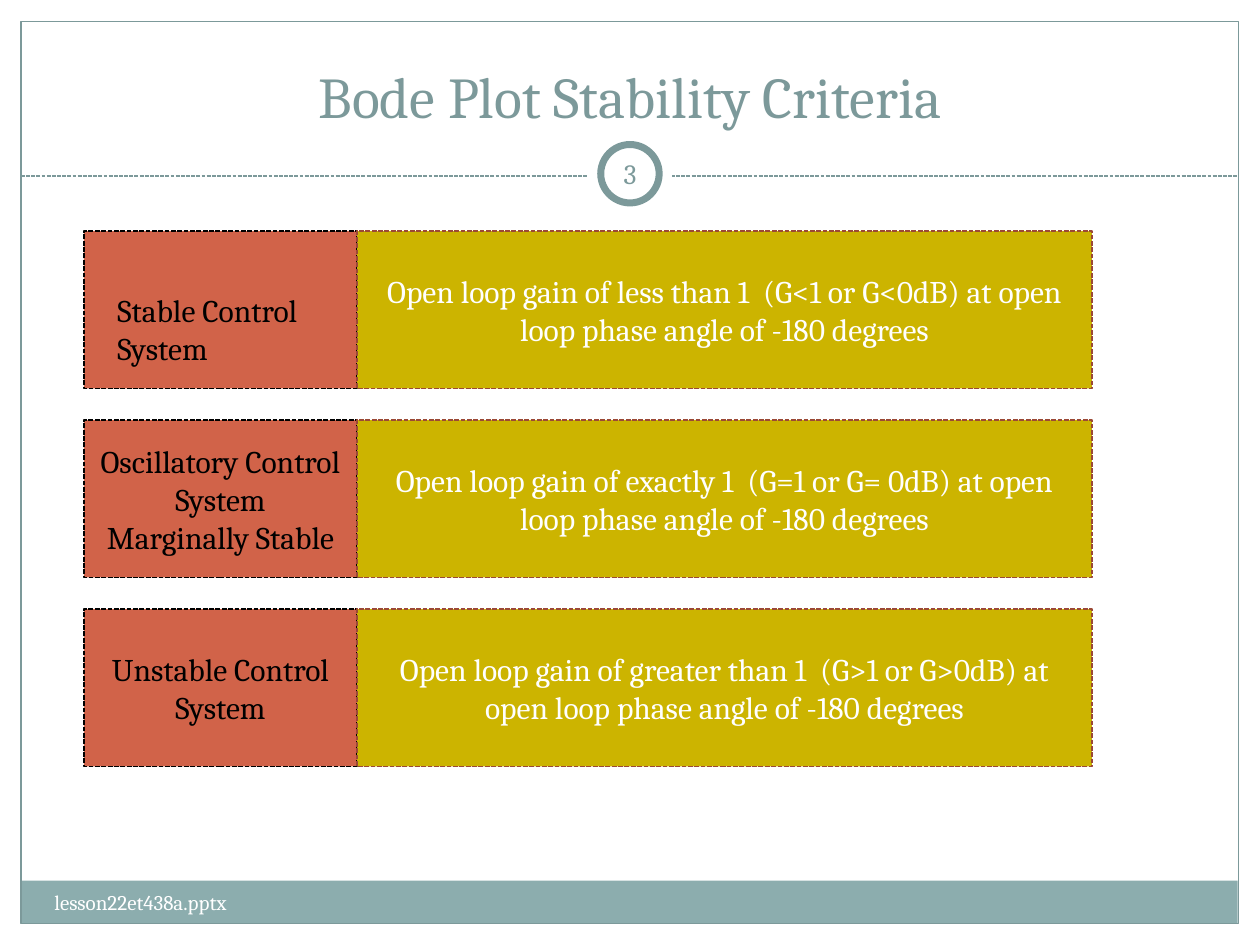
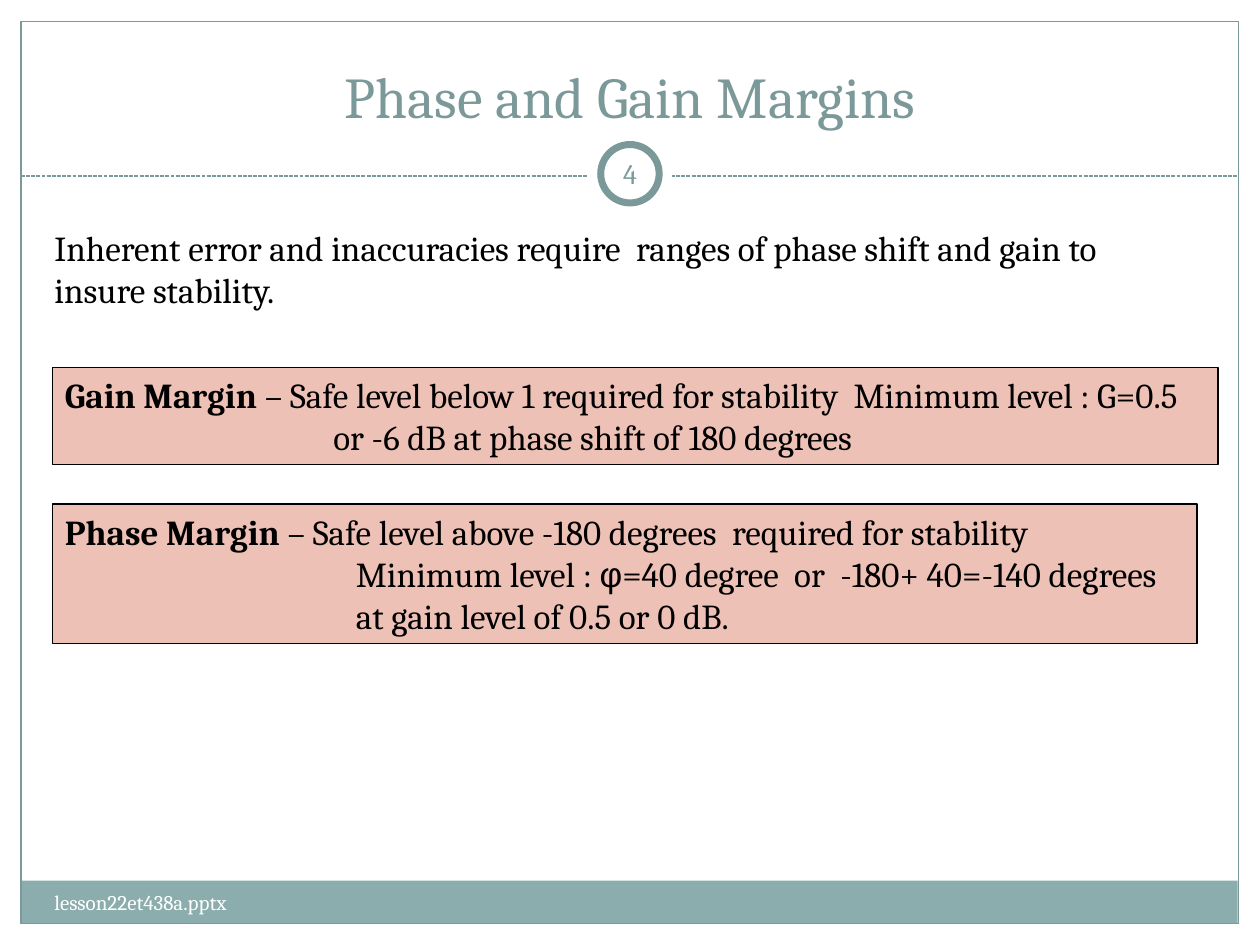
from pptx import Presentation
from pptx.dml.color import RGBColor
from pptx.enum import dml, shapes, text
from pptx.oxml import ns
from pptx.util import Pt
from lxml import etree

HUES = {
    "white": "FFFFFF", "black": "000000", "teal": "7C999A", "band": "8CADAE",
    "red": "D16349", "gold": "CCB400", "rust": "9B4936", "pink": "EDC1B6",
}
FONT = "Cambria"
LEFT, CENTER = text.PP_ALIGN.LEFT, text.PP_ALIGN.CENTER
TOP, MIDDLE, BOTTOM = (text.MSO_ANCHOR.TOP, text.MSO_ANCHOR.MIDDLE,
                       text.MSO_ANCHOR.BOTTOM)
RECT, OVAL = shapes.MSO_SHAPE.RECTANGLE, shapes.MSO_SHAPE.OVAL


def hue(name):
    return RGBColor.from_string(HUES[name])


def edge(line, color, width, dash=False):
    line.color.rgb = hue(color)
    line.width = Pt(width)
    if dash:
        line.dash_style = dml.MSO_LINE.SQUARE_DOT


def write(shape, paras, size, color, align=LEFT, anchor=TOP, hang=0, inset=None):
    """Fill a shape with paragraphs; each is a list of (text, bold, font) runs."""
    frame = shape.text_frame
    frame.word_wrap = True
    frame.vertical_anchor = anchor
    if inset is not None:
        frame.margin_left = frame.margin_right = Pt(inset)
        frame.margin_top = frame.margin_bottom = Pt(inset)
    for i, runs in enumerate(paras):
        para = frame.paragraphs[0] if i == 0 else frame.add_paragraph()
        para.alignment = align
        if hang:
            props = para._p.get_or_add_pPr()
            props.set("marL", str(Pt(hang)))
            props.set("indent", str(-Pt(hang)))
        for words, bold, face in runs:
            if words == "\n":
                para.add_line_break()
                continue
            run = para.add_run()
            run.text = words
            run.font.size = Pt(size)
            run.font.name = face
            run.font.bold = bold
            run.font.color.rgb = hue(color)


def plain(*lines):
    return [[(line, False, FONT)] for line in lines]


def shape(slide, kind, box, fill=None, line=None):
    item = slide.shapes.add_shape(kind, *map(Pt, box))
    item.shadow.inherit = False
    if fill:
        item.fill.solid()
        item.fill.fore_color.rgb = hue(fill)
    else:
        item.fill.background()
    if line:
        edge(item.line, *line)
    else:
        item.line.fill.background()
    return item


def label(slide, box, paras, size, color, **style):
    item = slide.shapes.add_textbox(*map(Pt, box))
    write(item, paras, size, color, **style)


def rule(slide, x1, x2, y):
    item = slide.shapes.add_connector(
        shapes.MSO_CONNECTOR.STRAIGHT, Pt(x1), Pt(y), Pt(x2), Pt(y))
    edge(item.line, "teal", 0.75, True)
    etree.SubElement(item._element.spPr, ns.qn("a:effectLst"))


def base(deck, title, number):
    """Add a slide with the shared frame, footer band, title and number."""
    slide = deck.slides.add_slide(deck.slide_layouts[6])
    shape(slide, RECT, (11.8, 503.2, 695.5, 24.6), "band")
    shape(slide, RECT, (12, 12.2, 695.8, 515.6), line=("teal", 0.75))
    rule(slide, 12, 707.8, 100.6)
    # Number ring
    shape(slide, OVAL, (336, 75.4, 48, 48), "white")
    shape(slide, OVAL, (343.3, 82.6, 33.4, 33.4), "white", ("teal", 4))
    # Texts
    label(slide, (24, 18, 672, 60), plain(title), 33, "teal",
          align=CENTER, anchor=BOTTOM)
    label(slide, (24, 505, 282, 28.8), plain("lesson22et438a.pptx"), 12, "white")
    label(slide, (342, 81.6, 36, 34.6), plain(str(number)), 16, "teal",
          align=CENTER, anchor=MIDDLE, inset=3.6)
    return slide


def criteria(deck):
    slide = base(deck, "Bode Plot Stability Criteria", 3)
    rows = [
        (["Stable Control", "System"],
         "Open loop gain of less than 1  (G<1 or G<0dB) at open loop "
         "phase angle of -180 degrees"),
        (["Oscillatory Control System", "Marginally Stable"],
         "Open loop gain of exactly 1  (G=1 or G= 0dB) at open loop "
         "phase angle of -180 degrees"),
        (["Unstable Control System"],
         "Open loop gain of greater than 1  (G>1 or G>0dB) at open loop "
         "phase angle of -180 degrees"),
    ]
    mid = {"align": CENTER, "anchor": MIDDLE}
    for i, (name, rest) in enumerate(rows):
        y = 132 + 108 * i
        cell = shape(slide, RECT, (48, y, 156, 90), "red", ("black", 0.9, True))
        if i == 0:  # the first name sits low and left in its cell
            label(slide, (60, y + 30.6, 138, 51), plain(*name), 18, "black")
        else:
            write(cell, plain(*name), 18, "black", **mid)
        cell = shape(slide, RECT, (204, y, 420, 90), "gold", ("rust", 0.9, True))
        write(cell, plain(rest), 18, "white", **mid)


def margins(deck):
    slide = base(deck, "Phase and Gain Margins", 4)
    label(slide, (24, 126, 660, 55.6), plain(
        "Inherent error and inaccuracies require  ranges of phase shift "
        "and gain to insure stability."), 20, "black")
    gain = [
        ("Gain Margin ", True, FONT),
        ("– Safe level below 1 required for stability  Minimum level : G=0.5 "
         "or -6 dB at phase shift of 180 degrees", False, FONT),
    ]
    phase = [
        ("Phase Margin ", True, FONT),
        ("– Safe level above -180 degrees  required for stability", False, FONT),
        ("\n", False, FONT),
        ("Minimum level : ", False, FONT),
        ("φ", False, "Arial"),
        ("=40 degree  or  -180+ 40=-140 degrees at gain level of 0.5 or 0 dB.",
         False, FONT),
    ]
    # Definition boxes: top, width, height, hanging indent, runs
    for y, w, h, hang, runs in ((210, 666, 55.6, 153.4, gain),
                                (288, 654, 79.8, 166.3, phase)):
        box = shape(slide, RECT, (30, y, w, h), "pink", ("black", 0.75))
        write(box, [runs], 20, "black", hang=hang)


def main():
    deck = Presentation()
    deck.slide_width, deck.slide_height = Pt(720), Pt(540)
    criteria(deck)
    margins(deck)
    deck.save("out.pptx")


if __name__ == "__main__":
    main()
